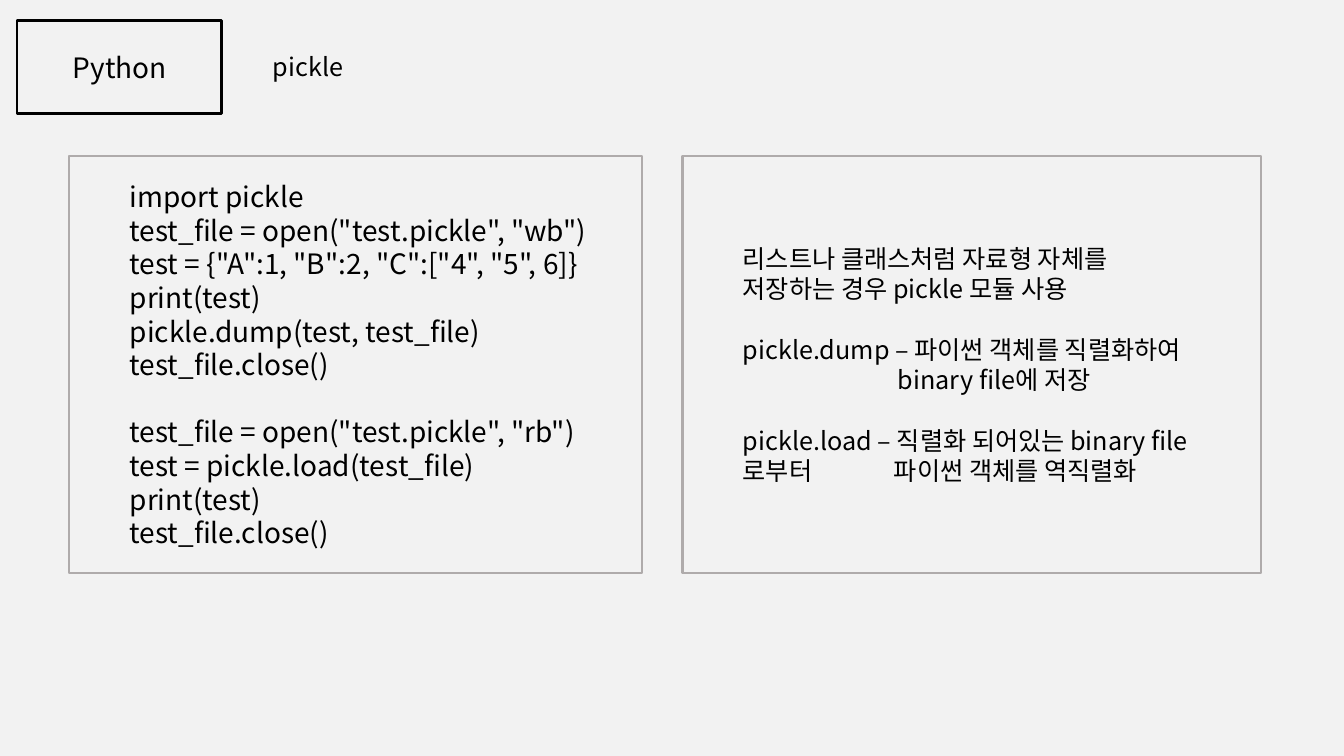
from dataclasses import dataclass

from lxml.etree import SubElement
from pptx import Presentation
from pptx.dml.color import RGBColor
from pptx.enum.shapes import MSO_SHAPE
from pptx.enum.text import MSO_ANCHOR, PP_ALIGN
from pptx.oxml.ns import qn
from pptx.util import Cm, Pt


@dataclass(frozen=True)
class Theme:
    font: str = "Noto Sans CJK KR"
    background: str = "F2F2F2"
    ink: str = "000000"
    panel_line: str = "AFABAB"
    large: float = 20
    body: float = 18
    leading: float = 1.2


CODE = [
    [
        'import pickle',
        'test_file = open("test.pickle", "wb")',
        'test = {"A":1, "B":2, "C":["4", "5", 6]}',
        'print(test)',
        'pickle.dump(test, test_file)',
        'test_file.close()',
    ],
    [
        'test_file = open("test.pickle", "rb")',
        'test = pickle.load(test_file)',
        'print(test)',
        'test_file.close()',
    ],
]
NOTES = [
    ["리스트나 클래스처럼 자료형 자체를", "저장하는 경우 pickle 모듈 사용"],
    ["pickle.dump – 파이썬 객체를 직렬화하여", ("binary file에 저장", 5.18)],
    ["pickle.load – 직렬화 되어있는 binary file로부터 \t\t파이썬 객체를 역직렬화"],
]


def write(p, text, theme, size, align=PP_ALIGN.LEFT, indent=0, before=0):
    p.alignment = align
    p.space_before = Pt(before)
    pPr = p._p.get_or_add_pPr()
    pPr.set("marL", str(Cm(indent)))
    pPr.set("indent", "0")
    r = p.add_run()
    r.text = text
    r.font.size = Pt(size)
    r.font.name = theme.font
    r.font.color.rgb = RGBColor.from_string(theme.ink)
    SubElement(r._r.get_or_add_rPr(), qn("a:ea")).set("typeface", theme.font)


class SlideBuilder:
    def __init__(self, s, theme):
        self.s = s
        self.theme = theme
        fill = s.background.fill
        fill.solid()
        fill.fore_color.rgb = RGBColor.from_string(theme.background)

    def frame(self, x, y, w, h, color, width):
        sp = self.s.shapes.add_shape(MSO_SHAPE.RECTANGLE, Cm(x), Cm(y), Cm(w), Cm(h))
        sp.shadow.inherit = False
        sp.fill.background()
        sp.line.color.rgb = RGBColor.from_string(color)
        sp.line.width = Pt(width)
        return sp

    def label(self, x, y, w, h, text, size, align=PP_ALIGN.LEFT, anchor=MSO_ANCHOR.TOP):
        tf = self.s.shapes.add_textbox(Cm(x), Cm(y), Cm(w), Cm(h)).text_frame
        tf.word_wrap = True
        tf.vertical_anchor = anchor
        write(tf.paragraphs[0], text, self.theme, size, align)

    def panel(self, x, w, groups, size):
        tf = self.frame(x, 3.94, w, 10.49, self.theme.panel_line, 1.5).text_frame
        tf.word_wrap = True
        tf.vertical_anchor = MSO_ANCHOR.MIDDLE
        p = tf.paragraphs[0]
        for g, lines in enumerate(groups):
            for i, line in enumerate(lines):
                if g or i:
                    p = tf.add_paragraph()
                text, indent = line if isinstance(line, tuple) else (line, 1.27)
                gap = size * self.theme.leading if g and i == 0 else 0
                write(p, text, self.theme, size, indent=indent, before=gap)


def main():
    theme = Theme()
    prs = Presentation()
    prs.slide_width, prs.slide_height = Cm(33.87), Cm(19.05)
    b = SlideBuilder(prs.slides.add_slide(prs.slide_layouts[6]), theme)
    b.frame(0.43, 0.51, 5.16, 2.36, theme.ink, 2)
    b.label(6.63, 1.17, 9.25, 1.02, "pickle", theme.body)
    b.label(0.58, 1.14, 4.88, 1.12, "Python", theme.large, PP_ALIGN.CENTER, MSO_ANCHOR.MIDDLE)
    b.panel(1.75, 14.43, CODE, theme.large)
    b.panel(17.2, 14.58, NOTES, theme.body)
    prs.save("out.pptx")


if __name__ == "__main__":
    main()
